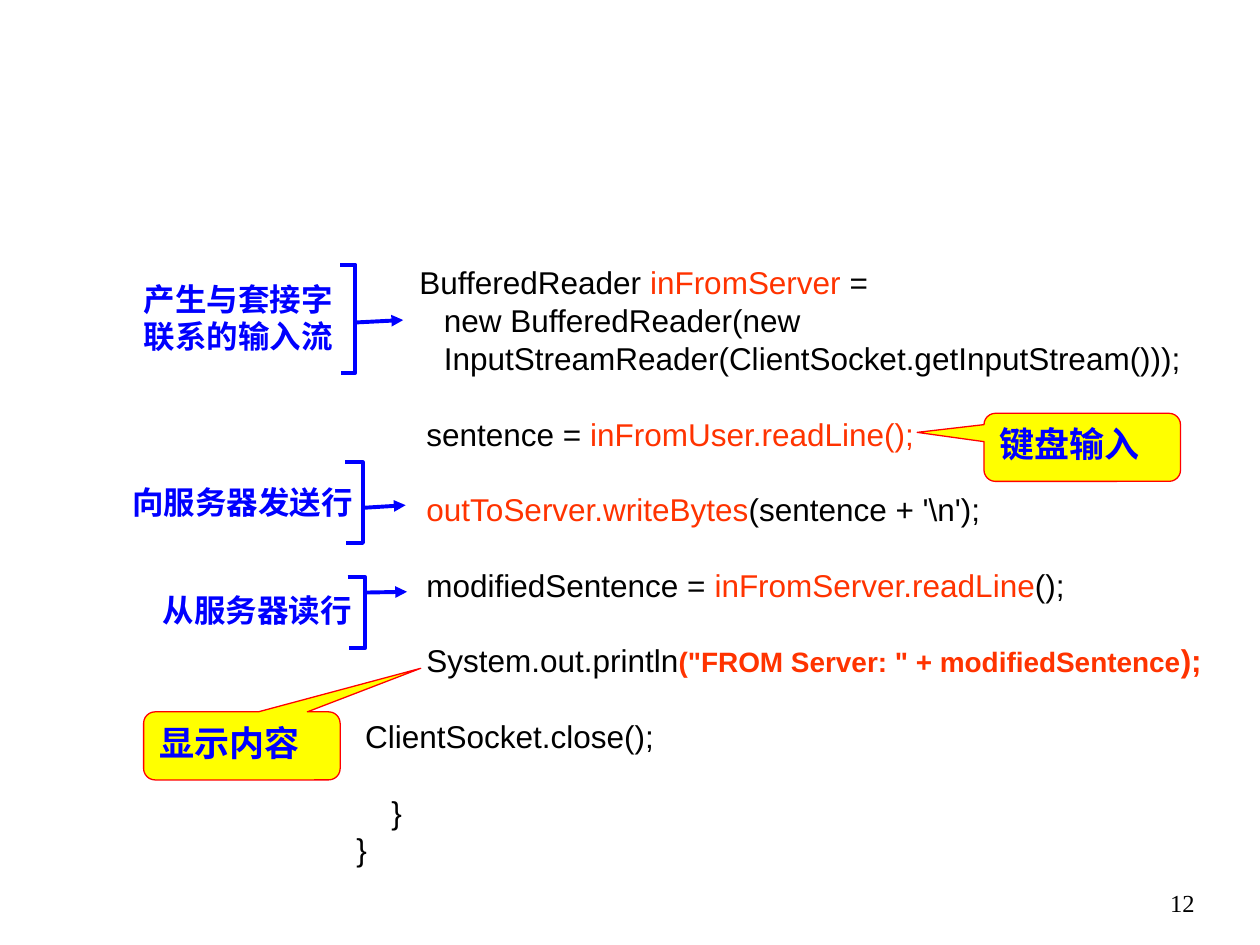
from dataclasses import dataclass

import pptx
import pptx.dml.color
import pptx.enum.dml
import pptx.enum.shapes
import pptx.enum.text
import pptx.oxml.ns
import pptx.util
from lxml import etree

Pt = pptx.util.Pt
RGBColor = pptx.dml.color.RGBColor
ALIGN = pptx.enum.text.PP_ALIGN
SHAPE = pptx.enum.shapes.MSO_SHAPE
qn = pptx.oxml.ns.qn

BLACK = RGBColor(0x00, 0x00, 0x00)
BLUE = RGBColor(0x00, 0x00, 0xFF)
ORANGE = RGBColor(0xFF, 0x33, 0x00)
RED = RGBColor(0xFF, 0x00, 0x00)
YELLOW = RGBColor(0xFF, 0xFF, 0x00)
LABEL_FONT = "Comic Neue"
LINE_PITCH = 21.6


@dataclass
class Run:
    text: str
    color: RGBColor = BLACK
    size: float = 18
    bold: bool = False
    font: str = "Arial"


@dataclass
class CodeLine:
    runs: list[Run]
    gap: bool = False


@dataclass
class Step:
    """A label with its bracket and the arrow into the code."""
    text: str
    box: tuple[float, float, float, float]
    wrap: bool
    bracket: tuple[float, float, float, float]  # left, top, right, bottom
    arrow: tuple[float, float, float]  # start y, end x, end y


@dataclass
class Callout:
    text: str
    left: float
    top: float
    tip: tuple[float, float]


INDENT = " " * 8
CODE = [
    CodeLine([Run(INDENT, font="Times New Roman"), Run("BufferedReader"),
              Run(" inFromServer", ORANGE), Run(" =")]),
    CodeLine([Run("          new BufferedReader(new")]),
    CodeLine([Run("          InputStreamReader(ClientSocket.getInputStream()));")]),
    CodeLine([Run(INDENT + "sentence = "), Run("inFromUser.readLine();", ORANGE)], True),
    CodeLine([Run(INDENT), Run("outToServer.writeBytes", ORANGE),
              Run("(sentence + '\\n');")], True),
    CodeLine([Run(INDENT + "modifiedSentence ="),
              Run(" inFromServer.readLine", ORANGE), Run("();")], True),
    CodeLine([Run(INDENT + "System.out.println"),
              Run('("FROM Server: " + modifiedSentence', ORANGE, 16, True),
              Run(");", ORANGE, bold=True)], True),
    CodeLine([Run(" ClientSocket.close();")], True),
    CodeLine([Run("    }")], True),
    CodeLine([Run("}")]),
]

STEPS = [
    Step("产生与套接字联系的输入流", (61.9, 156.2, 135.4, 50.4), True,
         (194.4, 151.2, 203, 213.1), (184.3, 230.4, 182.9)),
    Step("向服务器发送行", (68.4, 272.2, 140.4, 28.8), False,
         (197.3, 264.2, 207.4, 310.3), (290.2, 231.8, 288.7)),
    Step("从服务器读行", (85.7, 334.1, 122.4, 28.8), False,
         (198.7, 329.8, 208.8, 370.1), (338.6, 232.6, 338.2)),
]

CALLOUTS = [
    Callout("显示内容", 82.1, 406.8, (0.91, -1.14)),
    Callout("键盘输入", 562.3, 236.2, (-0.84, -0.22)),
]


def add_run(p, run: Run) -> None:
    r = p.add_run()
    r.text = run.text
    r.font.name = run.font
    r.font.size = Pt(run.size)
    r.font.bold = run.bold
    r.font.color.rgb = run.color


def add_text_box(s, box: tuple[float, float, float, float], wrap: bool, grow: bool = True):
    tf = s.shapes.add_textbox(*map(Pt, box)).text_frame
    tf.word_wrap = wrap
    if grow:
        tf.auto_size = pptx.enum.text.MSO_AUTO_SIZE.SHAPE_TO_FIT_TEXT
        tf.vertical_anchor = pptx.enum.text.MSO_ANCHOR.MIDDLE
    return tf


def add_code(s, lines: list[CodeLine]) -> None:
    tf = add_text_box(s, (196.6, 146.9, 502.6, 352.8), False)
    for i, line in enumerate(lines):
        p = tf.add_paragraph() if i else tf.paragraphs[0]
        p.line_spacing = Pt(LINE_PITCH)
        if line.gap:
            p.space_before = Pt(LINE_PITCH)
        for run in line.runs:
            add_run(p, run)


def style_line(sp, color: RGBColor, width: float) -> None:
    sp.line.color.rgb = color
    sp.line.width = Pt(width)


def add_step(s, step: Step) -> None:
    p = add_text_box(s, step.box, step.wrap).paragraphs[0]
    p.alignment = ALIGN.RIGHT
    add_run(p, Run(step.text, BLUE, bold=True, font=LABEL_FONT))

    left, top, right, bottom = step.bracket
    fb = s.shapes.build_freeform(Pt(left), Pt(top))
    corners = [(right, top), (right, bottom), (left + 0.7, bottom)]
    fb.add_line_segments([(Pt(x), Pt(y)) for x, y in corners], close=False)
    sp = fb.convert_to_shape()
    sp.shadow.inherit = False
    sp.fill.background()
    style_line(sp, BLUE, 2.25)

    start_y, end_x, end_y = step.arrow
    cx = s.shapes.add_connector(pptx.enum.shapes.MSO_CONNECTOR.STRAIGHT,
                                Pt(right), Pt(start_y), Pt(end_x), Pt(end_y))
    style_line(cx, BLUE, 2.25)
    etree.SubElement(cx.line._get_or_add_ln(), qn("a:tailEnd"), type="triangle")
    etree.SubElement(cx._element.spPr, qn("a:effectLst"))


def add_callout(s, callout: Callout) -> None:
    sp = s.shapes.add_shape(SHAPE.ROUNDED_RECTANGULAR_CALLOUT, Pt(callout.left),
                            Pt(callout.top), Pt(112.3), Pt(38.9))
    for i, value in enumerate((*callout.tip, 0.167)):
        sp.adjustments[i] = value
    sp.shadow.inherit = False
    sp.fill.solid()
    sp.fill.fore_color.rgb = YELLOW
    style_line(sp, RED, 0.75)
    tf = sp.text_frame
    tf.vertical_anchor = pptx.enum.text.MSO_ANCHOR.TOP
    p = tf.paragraphs[0]
    p.alignment = ALIGN.LEFT
    add_run(p, Run(callout.text, BLUE, 20, True, LABEL_FONT))


def main() -> None:
    prs = pptx.Presentation()
    prs.slide_width, prs.slide_height = Pt(720), Pt(540)
    s = prs.slides.add_slide(prs.slide_layouts[6])

    p = add_text_box(s, (653.8, 504, 36, 36), True, grow=False).paragraphs[0]
    p.alignment = ALIGN.RIGHT
    add_run(p, Run("12", size=14, font="Times New Roman"))

    add_code(s, CODE)
    for step in STEPS:
        add_step(s, step)
    for callout in CALLOUTS:
        add_callout(s, callout)
    prs.save("out.pptx")


if __name__ == "__main__":
    main()
